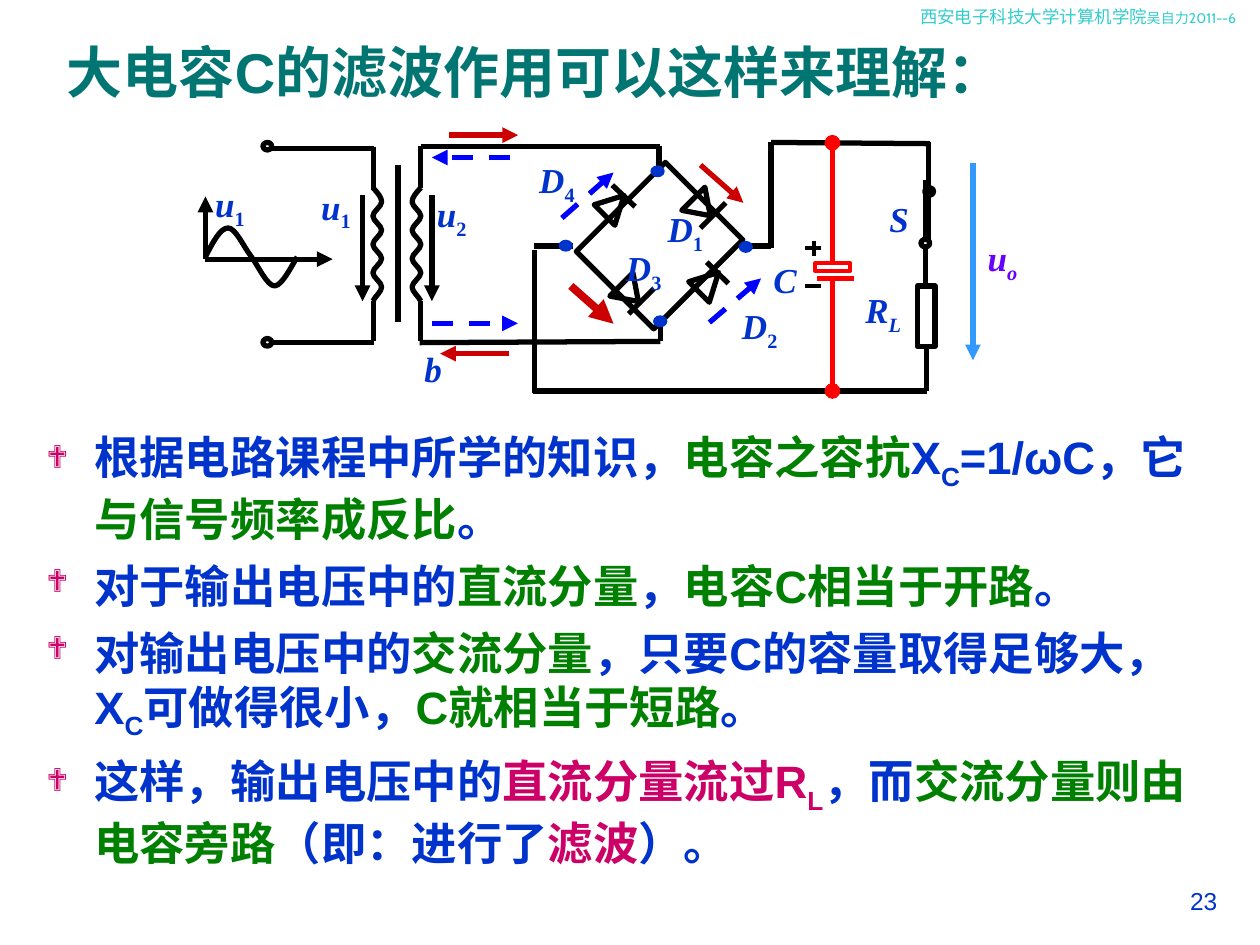
from lxml import etree
from pptx import Presentation, util as u
from pptx.dml.color import RGBColor
from pptx.enum import dml, shapes, text
from pptx.oxml.ns import qn

BLACK, RED, DARK_RED = "000000", "FF0000", "CC0000"
BLUE, BRIGHT, SKY, PURPLE = "0033CC", "0000FF", "3399FF", "6600FF"
GREEN, PINK, TEAL, CYAN = "008000", "CC0066", "007572", "33CCCC"

# Content: each run is (text, colour, subscript)
HEADER = [("西安电子科技大学计算机学院", 10), ("吴自力2011--6", 8)]
TITLE = "大电容C的滤波作用可以这样来理解："
BULLETS = [
    [("根据电路课程中所学的知识，", BLUE, 0), ("电容之容抗", GREEN, 0), ("X", BLUE, 0),
     ("C", BLUE, 1), ("=1/ωC，它", BLUE, 0), ("与信号频率成反比", GREEN, 0), ("。", BLUE, 0)],
    [("对于输出电压中的", BLUE, 0), ("直流分量", GREEN, 0), ("，", BLUE, 0),
     ("电容C相当于开路", GREEN, 0), ("。", BLUE, 0)],
    [("对输出电压中的", BLUE, 0), ("交流分量", GREEN, 0), ("，只要C的容量取得足够大，X", BLUE, 0),
     ("C", BLUE, 1), ("可做得很小，", BLUE, 0), ("C就相当于短路", GREEN, 0), ("。", BLUE, 0)],
    [("这样，输出电压中的", BLUE, 0), ("直流分量流过R", PINK, 0), ("L", PINK, 1),
     ("，而", BLUE, 0), ("交流分量则由电容旁路", GREEN, 0), ("（即：进行了", BLUE, 0),
     ("滤波", PINK, 0), ("）。", BLUE, 0)],
]
# Labels: x, y, width, letter, subscript, subscript italic, colour
LABELS = [
    (115.9, 100.8, 36.7, "u", "1", False, BLUE), (242.6, 106.6, 36.7, "u", "2", False, BLUE),
    (176.4, 102.2, 36.7, "u", "1", False, BLUE), (301, 87.1, 36.7, "D", "4", False, BLUE),
    (416.9, 170.6, 36.7, "D", "2", False, BLUE), (374.4, 115.2, 36.7, "D", "1", False, BLUE),
    (350.6, 137.5, 36.7, "D", "3", False, BLUE), (487.4, 161.3, 67, "R", "L", True, BLUE),
    (557.3, 131.8, 58.3, "u", "o", True, PURPLE), (235.4, 195.1, 24.5, "b", "", False, BLUE),
    (501.1, 109.4, 25.2, "S", "", False, BLUE), (434.9, 144, 27.4, "C", "", False, BLUE),
]
# Lines are (x1, y1, x2, y2)
WIRES = [
    # transformer
    (155.5, 85, 213.8, 85), (155.5, 195.8, 213.8, 195.8), (227.5, 94.3, 227.5, 184.3),
    (213.4, 84.2, 213.4, 108), (213.4, 172.1, 213.4, 195.1),
    (240.5, 83.5, 240.5, 107.3), (240.5, 172.1, 240.5, 195.1),
    # bridge supply
    (240.5, 83.7, 377.3, 83.7), (239.8, 195.8, 377.3, 195.1),
    (376.6, 83.5, 376.6, 96.5), (377.3, 195.1, 377.3, 185),
    # diode bars
    (349.9, 105.8, 362.9, 118.1), (403.9, 149.8, 416.2, 162),
    (414.7, 115.9, 400.3, 130.3), (373.7, 164.9, 359.3, 179.3),
    # bridge output and load
    (327.6, 140.6, 305.3, 140.6), (305.5, 142.6, 305.5, 224.6), (427.7, 140.6, 440.6, 140.6),
    (440.6, 81.4, 440.6, 141.8), (440.6, 81.4, 531.4, 82.1), (304.6, 223.4, 529.9, 223.4),
    (529.4, 223.2, 529.4, 197.3), (528.7, 163.4, 528.7, 141.1), (530.6, 81.4, 530.6, 106.6),
]
SWITCH = [(529.9, 137.5, 529.9, 103)]
SIGNS = [(460.1, 141.8, 469.4, 141.8), (465.1, 137.5, 465.1, 146.2), (460.1, 163.4, 469.4, 163.4)]
AXES = [(117.4, 148.1, 117.4, 112.3), (117.4, 148.1, 190.1, 148.1),
        (207.2, 111.6, 207.2, 172.1), (246.8, 111.6, 246.8, 172.1)]
POSITIVE = [(256.5, 77.2, 296.1, 77.2), (291.1, 202.1, 251.5, 202.1), (400.3, 94.3, 424.8, 115.9)]
WIDE_POSITIVE = [(326.2, 163.4, 350.6, 185)]
NEGATIVE = [(291.6, 90, 246.8, 90), (246.8, 184.8, 295.9, 184.8),
            (405.4, 184.3, 434.9, 159.1), (321.1, 124.6, 350.6, 98.6)]
OUTPUT = [(556, 92.9, 556, 205.9)]
PLATE = [(466.6, 159.1, 488.2, 159.1)]
CAP_LEADS = [(475.7, 159.1, 475.7, 223.4), (475.7, 150.5, 475.7, 81.6)]
# Line sets: lines, colour, width, arrowhead, dashed
LINES = [
    (WIRES, BLACK, 3, None, False), (SWITCH, BLACK, 4.5, None, False),
    (SIGNS, BLACK, 2.25, None, False), (AXES, BLACK, 3, "triangle", False),
    (POSITIVE, DARK_RED, 3, "triangle", False), (WIDE_POSITIVE, DARK_RED, 4.5, "triangle", False),
    (NEGATIVE, BRIGHT, 3, "triangle", True), (OUTPUT, SKY, 3, "triangle", False),
    (PLATE, RED, 3, None, False), (CAP_LEADS, RED, 3, "oval", False),
]
TERMINALS = [(150.3, 81.4), (150.3, 193.5), (526.3, 136.8), (528.5, 107.3)]
NODES = [(373.7, 180.7), (422.6, 138.2), (319.7, 137.5), (372.2, 95)]
DIODES = [(342.7, 109.4, 16.6, 15.8, 45), (396.7, 153.4, 16.6, 15.8, 45),
          (391.7, 111.6, 18.7, 13.7, 135), (350.6, 160.6, 18.7, 13.7, 135)]
# Cubic curve: start point, then two controls and an end for each part
SINE = [(117.4, 146.9), (121.7, 138.2), (126, 130.3), (130.3, 130.3),
        (134.6, 130.3), (138.9, 140.4), (143.3, 146.2),
        (147.6, 151.9), (152.6, 163.4), (157, 163.4),
        (161.3, 163.4), (167.8, 149.8), (169.9, 146.9)]


def color(h):
    return RGBColor.from_string(h)


def pts(*values):
    return [u.Pt(v) for v in values]


def add_run(p, txt, c, sub=False, **fmt):
    r = p.add_run()
    r.text = txt
    r.font.color.rgb = color(c)
    for key, value in fmt.items():
        setattr(r.font, key, value)
    if sub:
        r._r.get_or_add_rPr().set("baseline", "-25000")


def add_text(parent, x, y, w, h, wrap=True):
    tf = parent.add_textbox(*pts(x, y, w, h)).text_frame
    tf.word_wrap = wrap
    return tf


def add_line(parent, ends, c, width, head, dashed):
    sp = parent.add_connector(shapes.MSO_CONNECTOR.STRAIGHT, *pts(*ends))
    sp.line.color.rgb = color(c)
    sp.line.width = u.Pt(width)
    if dashed:
        sp.line.dash_style = dml.MSO_LINE.DASH
    if head:
        etree.SubElement(sp.line._get_or_add_ln(), qn("a:tailEnd"), type=head)
    etree.SubElement(sp._element.spPr, qn("a:effectLst"))


def style(sp, c=BLACK, width=3, fill=None):
    sp.shadow.inherit = False
    sp.line.color.rgb = color(c)
    sp.line.width = u.Pt(width)
    if fill:
        sp.fill.solid()
        sp.fill.fore_color.rgb = color(fill)
    else:
        sp.fill.background()


def add_shape(parent, kind, x, y, w, h, rot=0, **fmt):
    sp = parent.add_shape(kind, *pts(x, y, w, h))
    sp.rotation = rot
    style(sp, **fmt)


def add_curve(parent, dots):
    start, *rest = [pts(*dot) for dot in dots]
    builder = parent.build_freeform(*start)
    builder.add_line_segments(rest, close=False)
    sp = builder.convert_to_shape()
    # Join each three straight segments into one cubic segment
    segments = list(sp._element.iter(qn("a:lnTo")))
    for i in range(0, len(segments), 3):
        cubic = etree.Element(qn("a:cubicBezTo"))
        segments[i].addprevious(cubic)
        for segment in segments[i:i + 3]:
            cubic.append(segment[0])
            segment.getparent().remove(segment)
    style(sp)


def coil(x, bulge, top=107.3, step=8.1, turns=8):
    dots = [(x, top)]
    for i in range(turns):
        here, there = (x, x + bulge) if i % 2 == 0 else (x + bulge, x)
        y = top + i * step
        dots += [(here, y + step / 3), (there, y + step * 2 / 3), (there, y + step)]
    # The two ends leave the winding at a slant
    dots[1] = (x + bulge / 2, dots[1][1])
    dots[-2] = (x + bulge / 4, dots[-2][1])
    return dots


prs = Presentation()
prs.slide_width, prs.slide_height = pts(720, 540)
s = prs.slides.add_slide(prs.slide_layouts[6])

# Header, title and page number
p = add_text(s.shapes, 518.7, 0, 201.3, 19.4).paragraphs[0]
for txt, size in HEADER:
    add_run(p, txt, CYAN, size=u.Pt(size), name="Cabin")
tf = add_text(s.shapes, 31, 14.8, 672.5, 51.8)
tf.vertical_anchor = text.MSO_ANCHOR.MIDDLE
add_run(tf.paragraphs[0], TITLE, TEAL, size=u.Pt(32), name="Arial", bold=True)
p = add_text(s.shapes, 660.2, 502.6, 42.5, 31.7).paragraphs[0]
p.alignment = text.PP_ALIGN.RIGHT
add_run(p, "23", BLUE, size=u.Pt(14), name="Arial")

# Bulleted explanation
tf = add_text(s.shapes, 19.4, 241.9, 680.4, 272.2)
for i, runs in enumerate(BULLETS):
    p = tf.add_paragraph() if i else tf.paragraphs[0]
    if i:
        p.space_before = u.Pt(7)
    pPr = p._p.get_or_add_pPr()
    pPr.set("marL", str(u.Pt(27.4)))
    pPr.set("indent", str(u.Pt(-27.4)))
    etree.SubElement(etree.SubElement(pPr, qn("a:buClr")), qn("a:srgbClr"), val=PINK)
    etree.SubElement(pPr, qn("a:buSzPct"), val="70000")
    etree.SubElement(pPr, qn("a:buFont"), typeface="Wingdings", charset="2")
    etree.SubElement(pPr, qn("a:buChar"), char="❖")
    for txt, c, sub in runs:
        add_run(p, txt, c, sub, size=u.Pt(25.9), name="Arial", bold=True)

# Circuit: shapes, curves, lines, then nodes and labels
g = s.shapes.add_group_shape().shapes
kinds = shapes.MSO_SHAPE
for x, y in TERMINALS:
    add_shape(g, kinds.OVAL, x, y, 5, 4.3)
add_shape(g, kinds.RECTANGLE, 345.6, 104.4, 62.6, 72, 45)
for diode in DIODES:
    add_shape(g, kinds.ISOSCELES_TRIANGLE, *diode)
add_shape(g, kinds.RECTANGLE, 524.2, 163.4, 10.1, 34.6)
add_shape(g, kinds.RECTANGLE, 465.8, 150.5, 20.2, 4.3, c=RED, width=2.25)
for dots in (coil(213.1, 5), coil(240.5, -5), SINE):
    add_curve(g, dots)
for lines, *fmt in LINES:
    for ends in lines:
        add_line(g, ends, *fmt)
for x, y in NODES:
    add_shape(g, kinds.OVAL, x, y, 7.2, 5.8, c=BLUE, width=1, fill=BLUE)
for x, y, w, letter, sub, italic, c in LABELS:
    p = add_text(g, x, y, w, 34.6, bool(sub)).paragraphs[0]
    fmt = {"size": u.Pt(20), "name": "Times New Roman", "bold": True}
    add_run(p, letter, c, italic=True, **fmt)
    if sub:
        add_run(p, sub, c, True, italic=italic, **fmt)

prs.save("out.pptx")
